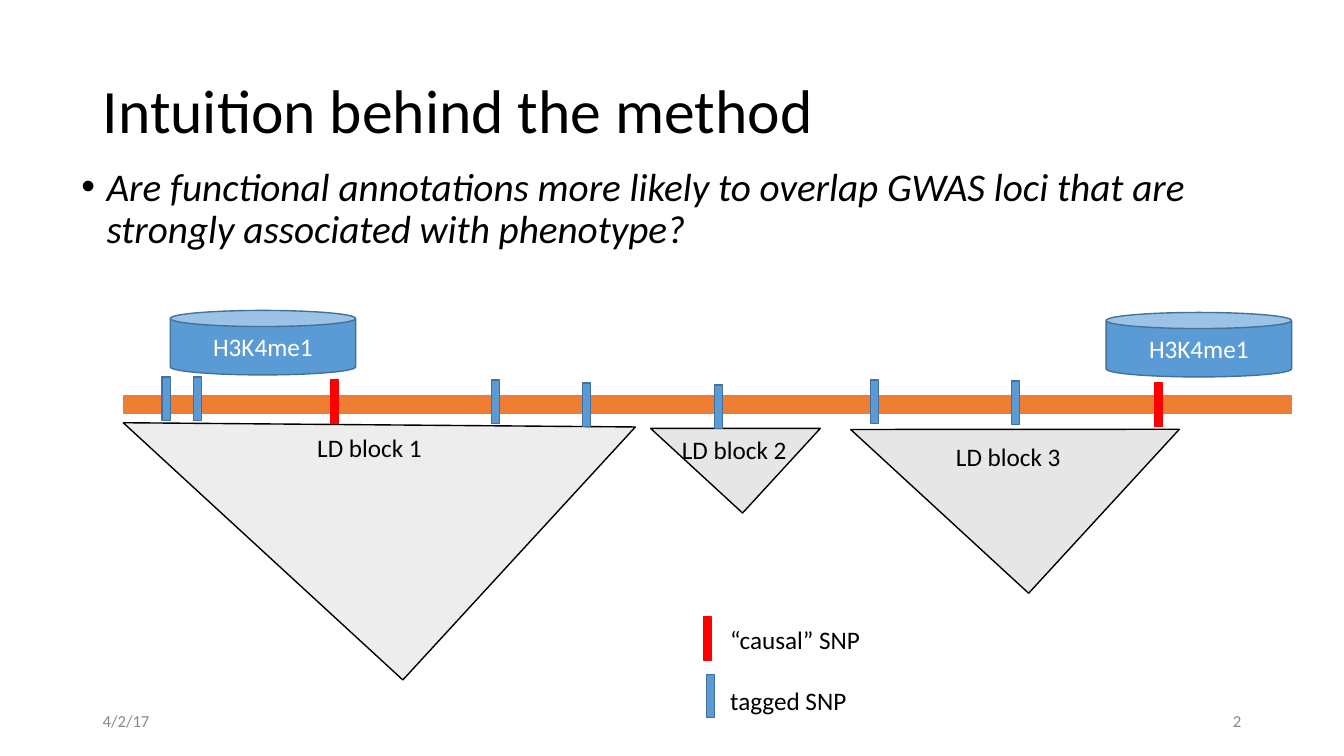
"""Build a slide on GWAS loci, LD blocks and functional marks."""
from lxml.etree import SubElement
from pptx import Presentation
from pptx.dml.color import RGBColor
from pptx.enum.shapes import MSO_SHAPE
from pptx.enum.text import MSO_ANCHOR, MSO_AUTO_SIZE, PP_ALIGN
from pptx.oxml.ns import qn
from pptx.util import Inches, Pt

CELL = Inches(0.01)
COLS, ROWS = 1334, 750
BLACK, WHITE, GREY = "000000", "FFFFFF", "898989"
BLUE, NAVY, RED, ORANGE = "5B9BD5", "41719C", "FF0000", "ED7D31"
TICK_W, TICK_H = 8, 43

deck = Presentation()
deck.slide_width, deck.slide_height = CELL * COLS, CELL * ROWS
slide = deck.slides.add_slide(deck.slide_layouts[5])
shapes = slide.shapes
hue = RGBColor.from_string


def draw(kind, box, fill, line):
    shape = shapes.add_shape(kind, *[CELL * n for n in box])
    shape.shadow.inherit = False
    shape.fill.solid()
    shape.fill.fore_color.rgb = hue(fill)
    shape.line.color.rgb = hue(line)
    shape.line.width = Pt(1)
    return shape


def write(shape, text, size, color, align=PP_ALIGN.LEFT, anchor=MSO_ANCHOR.TOP):
    frame = shape.text_frame
    frame.text = text
    frame.word_wrap = True
    frame.auto_size = MSO_AUTO_SIZE.NONE
    frame.vertical_anchor = anchor
    for para in frame.paragraphs:
        para.alignment = align
        for run in para.runs:
            run.font.name = "Calibri"
            run.font.size = Pt(size)
            run.font.color.rgb = hue(color)
    return frame.paragraphs


title = shapes.title
title.left, title.top, title.width, title.height = [CELL * n for n in (92, 40, 1150, 145)]
head = write(title, "Intuition behind the method", 44, BLACK, anchor=MSO_ANCHOR.MIDDLE)[0]
head.line_spacing = 0.9

body = shapes.add_textbox(*[CELL * n for n in (71, 161, 1150, 476)])
point = write(body, "Are functional annotations more likely to overlap GWAS loci "
              "that are strongly associated with phenotype?", 28, BLACK)[0]
point.line_spacing = 0.9
point.space_before = Pt(10)
point.runs[0].font.italic = True
props = point._p.get_or_add_pPr()
props.set("marL", str(Inches(0.25)))
props.set("indent", str(-Inches(0.25)))
SubElement(props, qn("a:buFont")).set("typeface", "Arial")
SubElement(props, qn("a:buChar")).set("char", "•")

draw(MSO_SHAPE.RECTANGLE, (123, 393, 1159, 17), ORANGE, ORANGE)

blocks = [
    ((206, 233, 341, 377), "EDEDED", (305, 424)),
    ((673, 363, 114, 124), "E7E6E6", (667, 426)),
    ((897, 306, 221, 240), "E7E6E6", (939, 433)),
]
for num, (box, fill, spot) in enumerate(blocks, 1):
    draw(MSO_SHAPE.RIGHT_TRIANGLE, box, fill, BLACK).rotation = 312.6
    label = shapes.add_textbox(*[CELL * n for n in (*spot, 182, 40)])
    write(label, f"LD block {num}", 18, BLACK)

tagged = [(161, 374), (192, 374), (488, 377), (578, 380),
          (709, 382), (864, 377), (1004, 378), (701, 669)]
causal = [(328, 377), (1146, 380), (698, 612)]
for spots, fill, line in ((tagged, BLUE, NAVY), (causal, RED, RED)):
    for spot in spots:
        draw(MSO_SHAPE.RECTANGLE, (*spot, TICK_W, TICK_H), fill, line)

for left, top in ((169, 308), (1098, 310)):
    mark = draw(MSO_SHAPE.CAN, (left, top, 184, 64), BLUE, NAVY)
    write(mark, "H3K4me1", 18, WHITE, PP_ALIGN.CENTER, MSO_ANCHOR.MIDDLE)

legend = shapes.add_textbox(*[CELL * n for n in (715, 614, 186, 100)])
write(legend, "“causal” SNP\ntagged SNP", 18, BLACK)[1].space_before = Pt(22)

for left, text, align in ((92, "4/2/17", PP_ALIGN.LEFT), (942, "2", PP_ALIGN.RIGHT)):
    foot = shapes.add_textbox(*[CELL * n for n in (left, 695, 300, 40)])
    write(foot, text, 12, GREY, align, MSO_ANCHOR.MIDDLE)

deck.save("out.pptx")
